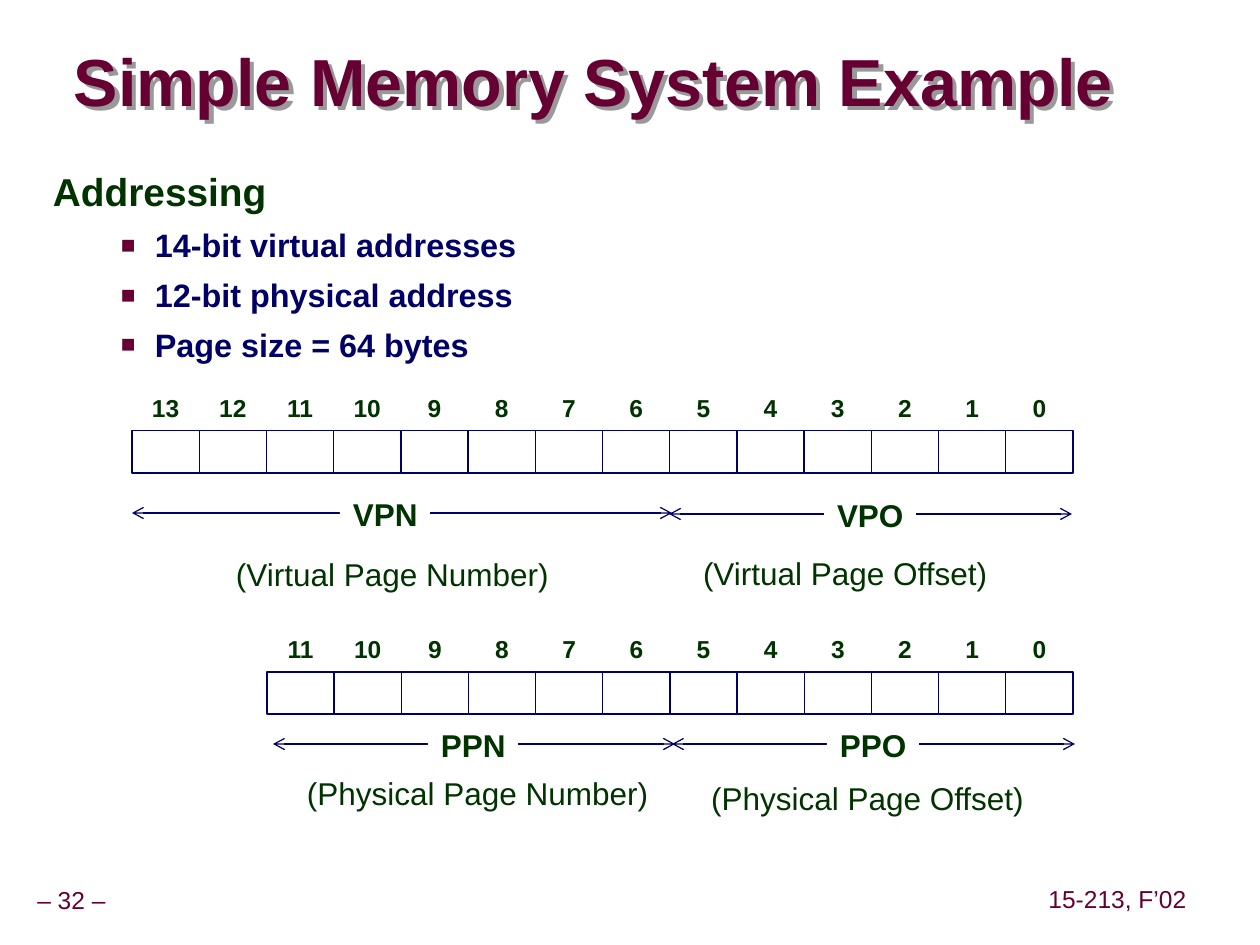
from lxml import etree
from pptx import Presentation
from pptx.dml.color import RGBColor
from pptx.enum.shapes import MSO_CONNECTOR, MSO_SHAPE
from pptx.enum.text import MSO_ANCHOR, MSO_AUTO_SIZE, PP_ALIGN
from pptx.oxml.ns import qn
from pptx.util import Pt

EMU_PER_PX = 914400 / 126
FONT = "Arial"
COLORS = {"maroon": "660033", "green": "003300", "navy": "000066",
          "white": "FFFFFF", "shadow": "999999"}
LEFT, CENTER = PP_ALIGN.LEFT, PP_ALIGN.CENTER
TOP, MIDDLE = MSO_ANCHOR.TOP, MSO_ANCHOR.MIDDLE
GROW = MSO_AUTO_SIZE.SHAPE_TO_FIT_TEXT
RECTANGLE = MSO_SHAPE.RECTANGLE
STRAIGHT = MSO_CONNECTOR.STRAIGHT


def px(length):
    return round(length * EMU_PER_PX)


def color(name):
    return RGBColor.from_string(COLORS[name])


def add_element(parent, tag, **attributes):
    return etree.SubElement(parent, qn(tag), attributes)


def style_paragraph(paragraph, size, color_name, bold=False, align=LEFT,
                    spacing=0.9, before=0):
    paragraph.alignment = align
    paragraph.line_spacing = spacing
    paragraph.space_before = Pt(before)
    for run in paragraph.runs:
        run.font.name = FONT
        run.font.size = Pt(size)
        run.font.bold = bold
        run.font.color.rgb = color(color_name)


def add_text(shapes, box, lines, anchor=TOP, wrap=True, insets=(13, 6)):
    """Add a text box; insets are (horizontal, vertical)."""
    text_box = shapes.add_textbox(*map(px, box))
    frame = text_box.text_frame
    frame.word_wrap = wrap
    frame.vertical_anchor = anchor
    frame.margin_left = frame.margin_right = px(insets[0])
    frame.margin_top = frame.margin_bottom = px(insets[1])
    frame.text = "\n".join(lines)
    return text_box


def add_field_text(shapes, box, text, bold=False, align=LEFT, wrap=True):
    """Add one line of field text; left-aligned text may use the right inset."""
    text_box = add_text(shapes, box, [text], wrap=wrap)
    frame = text_box.text_frame
    frame.auto_size = GROW
    if align == LEFT:
        frame.margin_right = 0
    style_paragraph(frame.paragraphs[0], 18, "green", bold, align, before=6.8)
    return text_box


def add_footer(slide, box, text):
    text_box = add_text(slide.shapes, box, [text], MIDDLE, False, (6, 6))
    style_paragraph(text_box.text_frame.paragraphs[0], 14, "maroon", align=CENTER)


def add_title(slide, box, text):
    text_box = add_text(slide.shapes, box, [text], MIDDLE, insets=(0, 0))
    style_paragraph(text_box.text_frame.paragraphs[0], 38, "maroon", True,
                    spacing=0.87)
    # Drop shadow towards the lower right
    effects = add_element(text_box._element.spPr, "a:effectLst")
    shadow = add_element(effects, "a:outerShdw", dist=str(px(6)), dir="2700000",
                         algn="ctr", rotWithShape="0")
    add_element(shadow, "a:srgbClr", val=COLORS["shadow"])


def add_bullet_list(slide, box, heading, items):
    text_box = add_text(slide.shapes, box, [heading, *items])
    first, *bullets = text_box.text_frame.paragraphs
    style_paragraph(first, 22.2, "green", True, spacing=0.85, before=15)
    for paragraph in bullets:
        style_paragraph(paragraph, 18.5, "navy", True, spacing=1.0, before=6.2)
        properties = paragraph._p.get_or_add_pPr()
        properties.set("marL", str(px(102)))
        properties.set("indent", str(px(-34)))
        bullet_color = add_element(properties, "a:buClr")
        add_element(bullet_color, "a:srgbClr", val=COLORS["maroon"])
        add_element(properties, "a:buSzPct", val="75000")
        add_element(properties, "a:buFont", typeface=FONT)
        add_element(properties, "a:buChar", char="■")


def add_bit_row(slide, box, bit_count):
    """Number the bits in the upper half of the box, draw cells in the lower."""
    left, top, width, height = box
    shapes = slide.shapes.add_group_shape().shapes
    cell_width, cell_height = width / bit_count, height / 2
    for index in range(bit_count):
        cell_left = left + index * cell_width
        cell = shapes.add_shape(RECTANGLE, px(cell_left), px(top + cell_height),
                                px(cell_width), px(cell_height))
        cell.shadow.inherit = False
        cell.fill.background()
        cell.line.color.rgb = color("navy")
        cell.line.width = Pt(0.75)
        number = add_text(shapes, (cell_left, top, cell_width, cell_height),
                          [str(bit_count - 1 - index)], MIDDLE, False)
        style_paragraph(number.text_frame.paragraphs[0], 14, "green", True,
                        CENTER, before=5.2)


def add_field(slide, box, name, label_offset, label_width):
    """Draw a double arrow across the box with its name on top of it."""
    left, top, width, height = box
    shapes = slide.shapes.add_group_shape().shapes
    line_top = px(top + 20)
    arrow = shapes.add_connector(STRAIGHT, px(left), line_top,
                                 px(left + width), line_top)
    arrow.line.color.rgb = color("navy")
    arrow.line.width = Pt(0.75)
    line = arrow.line._get_or_add_ln()
    add_element(line, "a:headEnd", type="arrow")
    add_element(line, "a:tailEnd", type="arrow")
    add_element(arrow._element.spPr, "a:effectLst")

    label = add_field_text(shapes, (left + label_offset, top, label_width, height),
                           name, bold=True)
    label.fill.solid()
    label.fill.fore_color.rgb = color("white")


def main():
    presentation = Presentation()
    presentation.slide_width, presentation.slide_height = px(1260), px(945)
    slide = presentation.slides.add_slide(presentation.slide_layouts[6])

    # Footers, title and list
    add_footer(slide, (-11, 882, 165, 39), "– 32 –")
    add_footer(slide, (1042, 881, 151, 39), "15-213, F’02")
    add_title(slide, (74, 46, 1060, 79), "Simple Memory System Example")
    add_bullet_list(slide, (40, 169, 1145, 208), "Addressing", [
        "14-bit virtual addresses",
        "12-bit physical address",
        "Page size = 64 bytes",
    ])

    # Virtual and physical address bits
    add_bit_row(slide, (132, 388, 941, 85), 14)
    add_bit_row(slide, (267, 630, 806, 84), 12)

    # Address fields
    add_field(slide, (669, 494, 403, 46), "VPO", 155, 92)
    add_field(slide, (672, 724, 403, 46), "PPO", 155, 92)
    add_field(slide, (273, 724, 402, 46), "PPN", 155, 90)
    add_field(slide, (132, 493, 540, 46), "VPN", 208, 90)

    # Field captions
    shapes = slide.shapes
    add_field_text(shapes, (223, 553, 339, 46), "(Virtual Page Number)")
    add_field_text(shapes, (690, 552, 310, 46), "(Virtual Page Offset)")
    add_field_text(shapes, (294, 772, 367, 46), "(Physical Page Number)")
    add_field_text(shapes, (688, 777, 359, 46), "(Physical Page Offset)",
                   align=CENTER)

    presentation.save("out.pptx")


if __name__ == "__main__":
    main()
